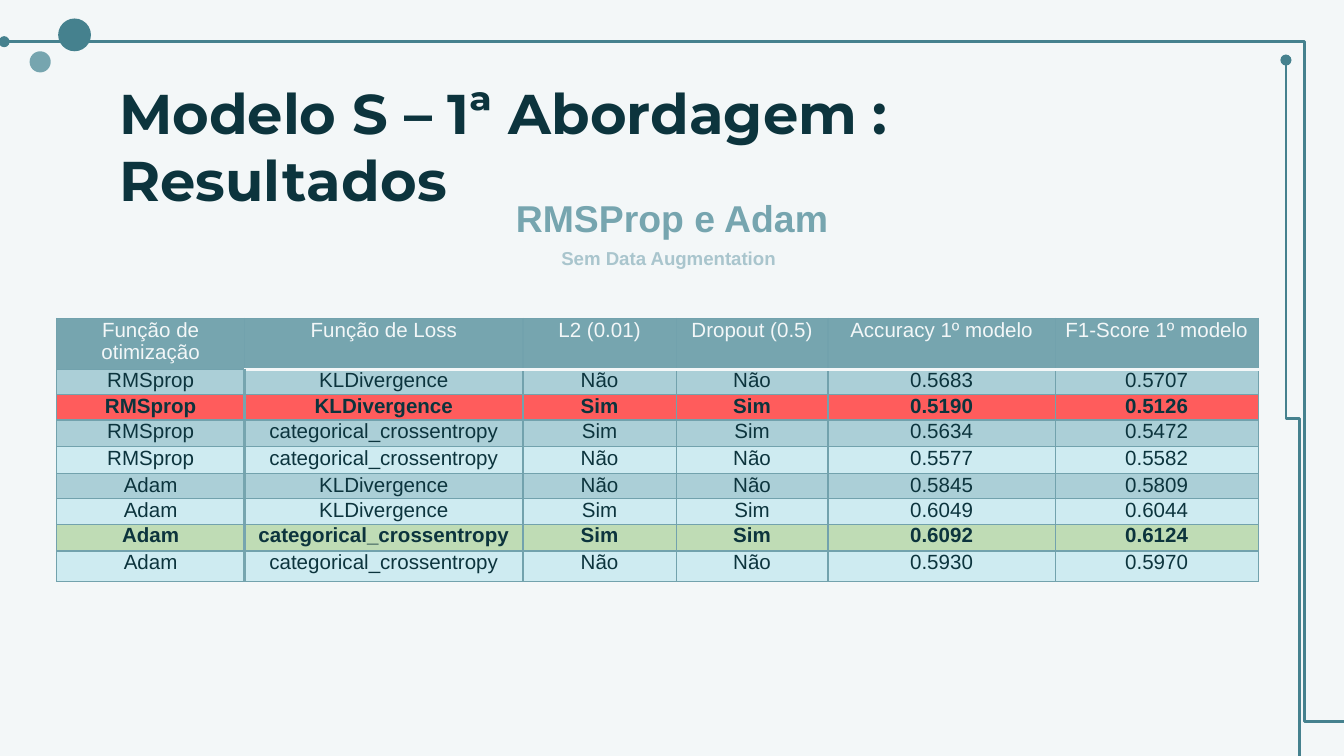
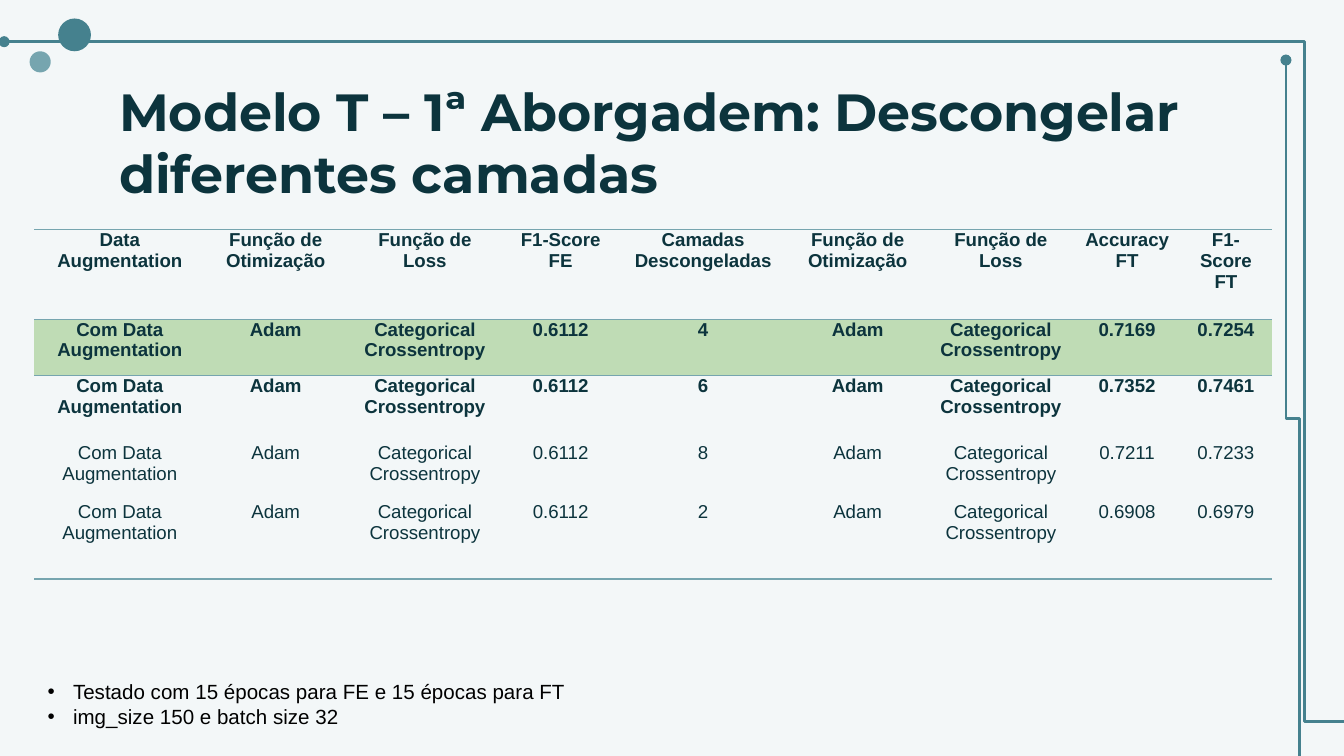
from lxml import etree
from pptx import Presentation
from pptx import util as u
from pptx.dml.color import RGBColor
from pptx.enum import shapes, text
from pptx.oxml.ns import qn

HUE = {
    "pale": "F3F7F8", "teal": "76A5AF", "deep": "45818E", "ink": "0C343D",
    "grid": "72A2AD", "mist": "A9C5CD", "band": "ABCFD7", "light": "CEEBF1",
    "red": "FF5C5C", "green": "BFDCB5", "black": "000000",
}
HEAD, BODY = "Montserrat", "Arial"
PLAIN = "{2D5ABB26-0587-4C30-8999-92F81FD0307C}"  # table style without grid
TITLE = (2, 1.24, 21.4, 1.6)


def rgb(name):
    return RGBColor.from_string(HUE[name])


def cm(box):
    return [u.Cm(v) for v in box]


def add_run(par, words, size, hue, bold=False, font=BODY):
    run = par.add_run()
    run.text = words
    run.font.name, run.font.size, run.font.bold = font, u.Pt(size), bold
    run.font.color.rgb = rgb(hue)


def set_frame(frame, anchor, pad):
    frame.word_wrap = True
    frame.auto_size = text.MSO_AUTO_SIZE.NONE
    frame.vertical_anchor = anchor
    frame.margin_left = frame.margin_right = u.Cm(pad)
    frame.margin_top = frame.margin_bottom = u.Cm(pad)


def place(shape, box):
    shape.left, shape.top, shape.width, shape.height = cm(box)


# Shared frame: dots and bent lines
def add_dot(slide, x, y, size, hue):
    dot = slide.shapes.add_shape(shapes.MSO_SHAPE.OVAL, *cm((x, y, size, size)))
    dot.shadow.inherit = False
    dot.fill.solid()
    dot.fill.fore_color.rgb = rgb(hue)
    dot.line.fill.background()


def add_bent(slide, ends, bend, turn=0):
    line = slide.shapes.add_connector(shapes.MSO_CONNECTOR.ELBOW, *cm(ends))
    line.line.color.rgb = rgb("deep")
    line.line.width = u.Pt(1.5)
    props = line._element.spPr
    props.find(qn("a:xfrm")).set("rot", str(turn * 60000))
    geom = props.find(qn("a:prstGeom"))
    guides = geom.find(qn("a:avLst"))
    if guides is None:
        guides = etree.SubElement(geom, qn("a:avLst"))
    etree.SubElement(guides, qn("a:gd"), name="adj1", fmla=f"val {bend}")
    etree.SubElement(props.find(qn("a:ln")), qn("a:tailEnd"), type="oval")
    etree.SubElement(props, qn("a:effectLst"))


def add_base(prs, layout, title, size):
    slide = prs.slides.add_slide(prs.slide_layouts[layout])
    add_dot(slide, 0.56, 0.97, 0.4, "teal")
    add_dot(slide, 1.1, 0.35, 0.62, "deep")
    add_bent(slide, (25.5, 13.64, 0.08, 0.79), 3300)
    add_bent(slide, (31.2, 7.78, 17.66, 8.03), 50000, turn=90)
    head = slide.shapes.title
    place(head, TITLE)
    set_frame(head.text_frame, text.MSO_ANCHOR.TOP, 0.25)
    par = head.text_frame.paragraphs[0]
    par.alignment = text.PP_ALIGN.LEFT
    add_run(par, title, size, "ink", True, HEAD)
    return slide


# Tables
def add_edges(cell, edges):
    props = cell._tc.get_or_add_tcPr()
    for side in "LRTB":
        if side in edges:
            hue, width = edges[side]
            line = etree.SubElement(props, qn(f"a:ln{side}"), w=str(u.Pt(width)))
            fill = etree.SubElement(line, qn("a:solidFill"))
            etree.SubElement(fill, qn("a:srgbClr"), val=HUE[hue])


def add_table(slide, box, cols, highs, rows, look, edges, size):
    """Columns and rows share the box in the given proportions.
    look(row) gives fill, text colour and weight; edges(row, col) gives borders."""
    grid = slide.shapes.add_table(len(rows), len(cols), *cm(box)).table
    grid.first_row = grid.horz_banding = False
    grid._tbl.tblPr.find(qn("a:tableStyleId")).text = PLAIN
    for col, part in zip(grid.columns, cols):
        col.width = u.Cm(box[2] * part / sum(cols))
    for row, part in zip(grid.rows, highs):
        row.height = u.Cm(box[3] * part / sum(highs))
    for r, row in enumerate(rows):
        fill, hue, bold = look(r)
        for c, words in enumerate(row):
            cell = grid.cell(r, c)
            add_edges(cell, edges(r, c))
            cell.fill.solid()
            cell.fill.fore_color.rgb = rgb(fill)
            cell.margin_left = cell.margin_right = u.Cm(0.18)
            cell.margin_top = cell.margin_bottom = 0
            for n, part in enumerate(words.split("\n")):
                frame = cell.text_frame
                par = frame.add_paragraph() if n else frame.paragraphs[0]
                par.alignment = text.PP_ALIGN.CENTER
                add_run(par, part, size, hue, bold)


def add_label(slide, box, words, size, hue):
    frame = slide.shapes.add_textbox(*cm(box)).text_frame
    frame.word_wrap = True
    frame.auto_size = text.MSO_AUTO_SIZE.SHAPE_TO_FIT_TEXT
    add_run(frame.paragraphs[0], words, size, hue, True)


def add_list(slide, box, items):
    body = slide.placeholders[1]
    place(body, box)
    frame = body.text_frame
    set_frame(frame, text.MSO_ANCHOR.BOTTOM, 0.25)
    for n, words in enumerate(items):
        par = frame.add_paragraph() if n else frame.paragraphs[0]
        props = par._p.get_or_add_pPr()
        props.set("marL", str(u.Cm(0.48)))
        props.set("indent", str(u.Cm(-0.48)))
        par.space_before = u.Pt(0)
        tint = etree.SubElement(props, qn("a:buClr"))
        etree.SubElement(tint, qn("a:srgbClr"), val=HUE["black"])
        etree.SubElement(props, qn("a:buChar"), char="•")
        add_run(par, words, 11, "black")


# Slide 1: optimiser results
def add_scores(prs):
    slide = add_base(prs, 5, "Modelo S – 1ª Abordagem : Resultados", 30)
    kl, cross = "KLDivergence", "categorical_crossentropy"
    rows = [
        ("Função de otimização", "Função de Loss", "L2 (0.01)",
         "Dropout (0.5)", "Accuracy 1º modelo", "F1-Score 1º modelo"),
        ("RMSprop", kl, "Não", "Não", "0.5683", "0.5707"),
        ("RMSprop", kl, "Sim", "Sim", "0.5190", "0.5126"),
        ("RMSprop", cross, "Sim", "Sim", "0.5634", "0.5472"),
        ("RMSprop", cross, "Não", "Não", "0.5577", "0.5582"),
        ("Adam", kl, "Não", "Não", "0.5845", "0.5809"),
        ("Adam", kl, "Sim", "Sim", "0.6049", "0.6044"),
        ("Adam", cross, "Sim", "Sim", "0.6092", "0.6124"),
        ("Adam", cross, "Não", "Não", "0.5930", "0.5970"),
    ]
    marks = {0: ("teal", "pale", False), 2: ("red", "ink", True),
             7: ("green", "ink", True)}

    def look(r):
        return marks.get(r, ("band" if r % 2 else "light", "ink", False))

    def edges(r, c):
        sides = dict.fromkeys("LRTB", ("grid", 0.75))
        if c and r < 2:
            sides["T" if r else "B"] = ("pale", 2)
        if r and c < 2:
            sides["L" if c else "R"] = ("teal", 2)
        return sides

    add_table(slide, (1.07, 6.02, 22.71, 4.98),
              (1.4, 2.07, 1.14, 1.13, 1.69, 1.51),
              (0.38, 0.19, 0.19, 0.2, 0.2, 0.19, 0.19, 0.2, 0.23),
              rows, look, edges, 11)
    add_label(slide, (10.36, 4.55, 4.67, 0.69), "Sem Data Augmentation", 10, "mist")
    add_label(slide, (9.5, 3.56, 7.04, 1.12), "RMSProp e Adam", 20, "teal")


# Slide 2: unfrozen layers
def add_layers(prs):
    slide = add_base(
        prs, 1, "Modelo T – 1ª Aborgadem: Descongelar diferentes camadas", 28)
    tune, loss = "Função de Otimização", "Função de Loss"
    rows = [("Data Augmentation", tune, loss, "F1-Score FE",
             "Camadas\nDescongeladas", tune, loss, "Accuracy FT", "F1-Score FT")]
    pair = ("Adam", "Categorical Crossentropy")
    for count, acc, score in (("4", "0.7169", "0.7254"), ("6", "0.7352", "0.7461"),
                              ("8", "0.7211", "0.7233"), ("2", "0.6908", "0.6979")):
        rows.append(("Com Data\nAugmentation", *pair, "0.6112",
                     count, *pair, acc, score))

    def look(r):
        return "green" if r == 1 else "pale", "ink", r < 3

    def edges(r, c):
        sides = {0: "TB", 1: "T", 4: "B"}.get(r, "")
        return dict.fromkeys(sides, ("teal", 1))

    add_table(slide, (0.65, 4.34, 23.4, 6.61),
              (1.27, 1.05, 1.17, 0.85, 1.27, 1.03, 1.1, 0.78, 0.69),
              (0.67, 0.42, 0.5, 0.44, 0.58), rows, look, edges, 10)
    add_list(slide, (0.65, 12.88, 15.67, 1.14),
             ("Testado com 15 épocas para FE e 15 épocas para FT",
              "img_size 150 e batch size 32"))


def main():
    prs = Presentation()
    prs.slide_width, prs.slide_height = u.Cm(25.4), u.Cm(14.29)
    back = prs.slide_master.background.fill
    back.solid()
    back.fore_color.rgb = rgb("pale")
    add_scores(prs)
    add_layers(prs)
    prs.save("out.pptx")


if __name__ == "__main__":
    main()
